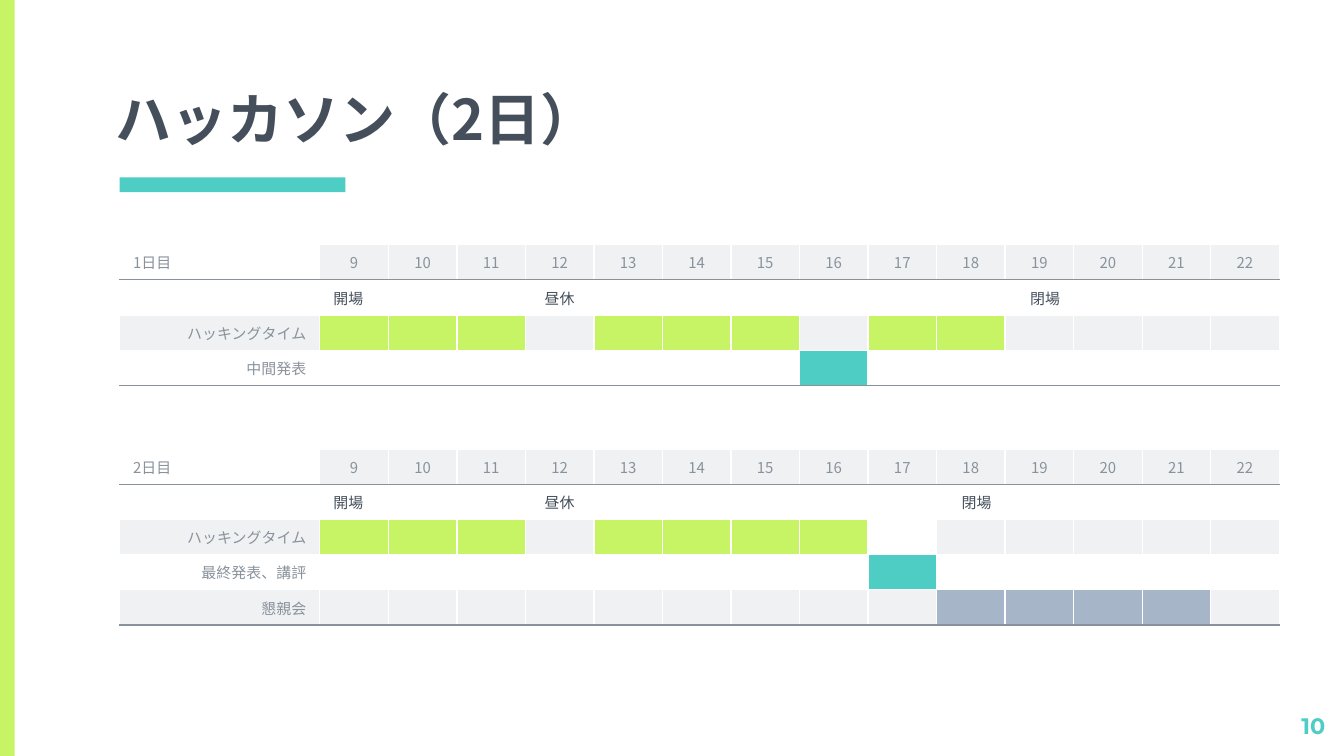
from lxml import etree
from pptx import Presentation
from pptx.dml.color import RGBColor
from pptx.enum.shapes import MSO_SHAPE
from pptx.enum.text import MSO_ANCHOR, MSO_AUTO_SIZE, PP_ALIGN
from pptx.oxml.ns import qn
from pptx.util import Inches, Pt

RECTANGLE = MSO_SHAPE.RECTANGLE
LEFT, CENTER, RIGHT = PP_ALIGN.LEFT, PP_ALIGN.CENTER, PP_ALIGN.RIGHT
MIDDLE, BOTTOM, TOP = MSO_ANCHOR.MIDDLE, MSO_ANCHOR.BOTTOM, MSO_ANCHOR.TOP
NO_AUTOFIT = MSO_AUTO_SIZE.NONE

JAPANESE_FONT, NUMBER_FONT = "Noto Sans CJK JP", "Montserrat"
DARK, GRAY, PALE, WHITE = "454F5B", "89929B", "EFF1F3", "FFFFFF"
LIME, TEAL, SLATE = "C7F464", "4ECDC4", "A6B5C7"

PAGE_WIDTH = 10
PAGE_HEIGHT = PAGE_WIDTH * 9 / 16

HOURS = range(9, 23)
LABEL_WIDTH, HOUR_WIDTH, ROW_HEIGHT = 1.49, 0.51, 0.26
TABLE_WIDTH = LABEL_WIDTH + HOUR_WIDTH * len(HOURS)

# Each activity: label, row colour, {hour: colour of the block}
DAY_ONE = {
    "name": "1日目",
    "events": {9: ("開場", LEFT), 12: ("昼休", CENTER), 19: ("閉場", RIGHT)},
    "activities": [
        ("ハッキングタイム", PALE, dict.fromkeys([9, 10, 11, 13, 14, 15, 17, 18], LIME)),
        ("中間発表", WHITE, {16: TEAL}),
    ],
}
DAY_TWO = {
    "name": "2日目",
    "events": {9: ("開場", LEFT), 12: ("昼休", CENTER), 18: ("閉場", RIGHT)},
    "activities": [
        ("ハッキングタイム", PALE,
         {**dict.fromkeys([9, 10, 11, 13, 14, 15, 16], LIME), 17: WHITE}),
        ("最終発表、講評", WHITE, {17: TEAL}),
        ("懇親会", PALE, dict.fromkeys(range(18, 22), SLATE)),
    ],
}


def color(hex_value):
    return RGBColor.from_string(hex_value)


def add_span(para, text, size, hex_value, font=JAPANESE_FONT, bold=False):
    span = para.add_run()
    span.text = text
    span.font.size = Pt(size)
    span.font.bold = bold
    span.font.name = font
    span.font.color.rgb = color(hex_value)
    east_asian = etree.SubElement(span.font._element, qn("a:ea"))
    east_asian.set("typeface", font)


def add_bar(page, left, top, width, height, hex_value):
    bar = page.shapes.add_shape(
        RECTANGLE, Inches(left), Inches(top), Inches(width), Inches(height))
    bar.shadow.inherit = False
    bar.fill.solid()
    bar.fill.fore_color.rgb = color(hex_value)
    bar.line.fill.background()


def format_frame(frame, anchor):
    frame.word_wrap = True
    frame.auto_size = NO_AUTOFIT
    frame.vertical_anchor = anchor
    frame.margin_left = frame.margin_right = Inches(0.1)
    frame.margin_top = frame.margin_bottom = Inches(0.1)


def add_title(page, left, top, width, height):
    title = page.shapes.title
    title.left, title.top = Inches(left), Inches(top)
    title.width, title.height = Inches(width), Inches(height)
    format_frame(title.text_frame, BOTTOM)
    para = title.text_frame.paragraphs[0]
    para.alignment = LEFT
    add_span(para, "ハッカソン（2日）", 30, DARK, bold=True)


def add_page_number(page, left, top, width, height):
    box = page.shapes.add_textbox(
        Inches(left), Inches(top), Inches(width), Inches(height))
    format_frame(box.text_frame, TOP)
    para = box.text_frame.paragraphs[0]
    para.alignment = RIGHT
    add_span(para, "10", 12, TEAL, font=NUMBER_FONT, bold=True)


def set_borders(cell, top, bottom):
    properties = cell._tc.get_or_add_tcPr()
    edges = {"a:lnL": WHITE, "a:lnR": WHITE, "a:lnT": top, "a:lnB": bottom}
    for tag, hex_value in edges.items():
        line = etree.SubElement(properties, qn(tag), w=str(Pt(0.75)))
        fill = etree.SubElement(line, qn("a:solidFill"))
        etree.SubElement(fill, qn("a:srgbClr"), val=hex_value)


def fill_cell(cell, fill, text="", align=LEFT, text_color=GRAY):
    cell.vertical_anchor = MIDDLE
    cell.fill.solid()
    cell.fill.fore_color.rgb = color(fill)
    para = cell.text_frame.paragraphs[0]
    para.alignment = align
    if text:
        add_span(para, text, 8, text_color)
    else:
        # Keeps an empty cell from stretching its row
        etree.SubElement(para._p, qn("a:endParaRPr"), sz="800")


def add_schedule(page, left, top, day):
    row_count = 2 + len(day["activities"])
    table = page.shapes.add_table(
        row_count, 1 + len(HOURS), Inches(left), Inches(top),
        Inches(TABLE_WIDTH), Inches(ROW_HEIGHT * row_count)).table
    table.first_row = table.horz_banding = False
    for index, column in enumerate(table.columns):
        column.width = Inches(HOUR_WIDTH if index else LABEL_WIDTH)

    for index, row in enumerate(table.rows):
        row.height = Inches(ROW_HEIGHT)
        top_color = GRAY if index == 1 else WHITE
        bottom_color = GRAY if index in (0, row_count - 1) else WHITE
        for cell in row.cells:
            set_borders(cell, top_color, bottom_color)

    fill_cell(table.cell(0, 0), WHITE, day["name"])
    fill_cell(table.cell(1, 0), WHITE)
    for column, hour in enumerate(HOURS, 1):
        fill_cell(table.cell(0, column), PALE, str(hour), CENTER)
        text, align = day["events"].get(hour, ("", LEFT))
        fill_cell(table.cell(1, column), WHITE, text, align, DARK)

    for row, (label, row_color, blocks) in enumerate(day["activities"], 2):
        fill_cell(table.cell(row, 0), row_color, label, RIGHT)
        for column, hour in enumerate(HOURS, 1):
            fill_cell(table.cell(row, column), blocks.get(hour, row_color))


def main():
    deck = Presentation()
    deck.slide_width, deck.slide_height = Inches(PAGE_WIDTH), Inches(PAGE_HEIGHT)
    page = deck.slides.add_slide(deck.slide_layouts[5])
    add_bar(page, 0, 0, 0.11, PAGE_HEIGHT, LIME)
    add_bar(page, 0.89, 1.32, 1.68, 0.11, TEAL)
    add_title(page, 0.76, 0.69, 8.49, 0.54)
    add_page_number(page, 9.36, 5.2, 0.6, 0.34)
    add_schedule(page, 0.89, 3.34, DAY_TWO)
    add_schedule(page, 0.89, 1.82, DAY_ONE)
    deck.save("out.pptx")


if __name__ == "__main__":
    main()
